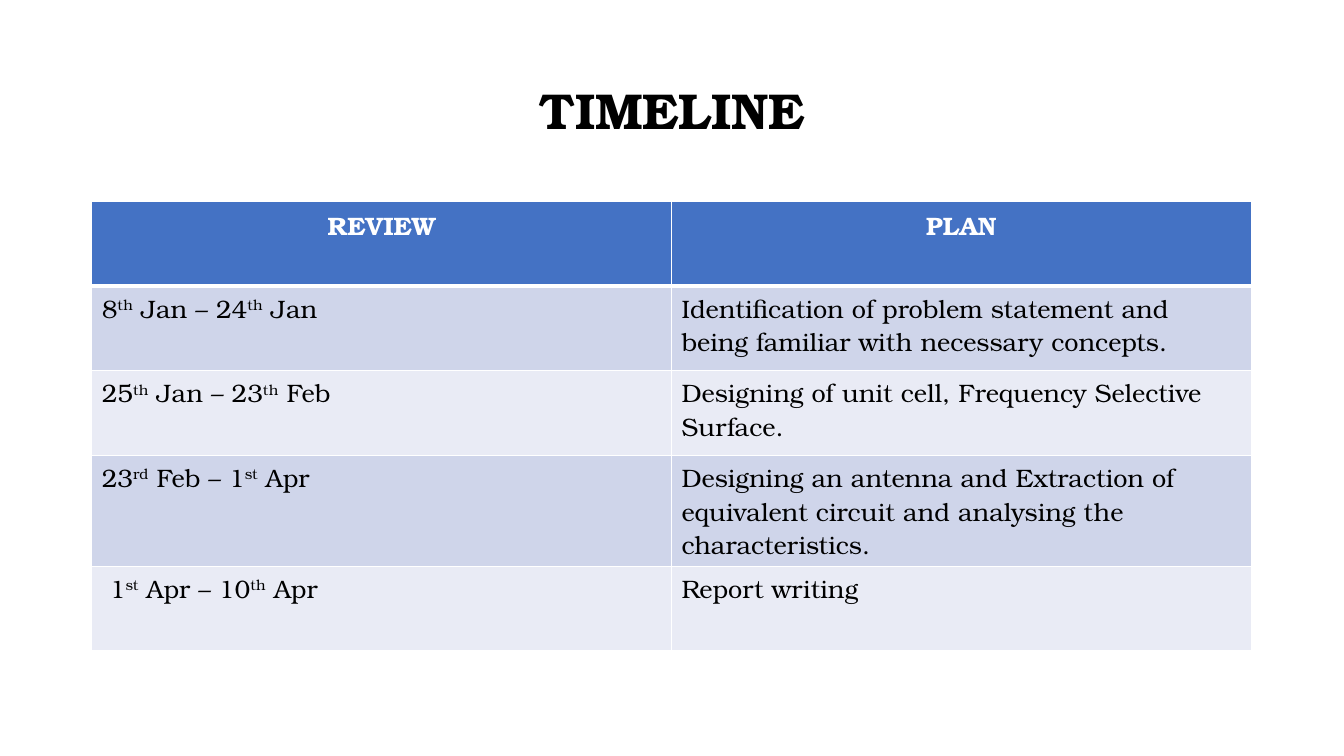
"""Build the project timeline slide with its table of review dates and plans."""
from dataclasses import dataclass

import lxml.etree
import pptx
import pptx.dml.color
import pptx.enum.text
import pptx.oxml.ns
import pptx.slide
import pptx.table
import pptx.text.text
import pptx.util

Inches = pptx.util.Inches
Align = pptx.enum.text.PP_ALIGN

FONT = "TeX Gyre Bonum"
COLORS = {
    "text": "000000",
    "header_text": "FFFFFF",
    "border": "FFFFFF",
    "header": "4472C4",
    "odd_band": "CFD5EA",
    "even_band": "E9EBF5",
}
HEADINGS = ("REVIEW", "PLAN")
ROW_HEIGHT = 0.84
COLUMN_WIDTH = 5.75


@dataclass(frozen=True)
class Phase:
    """Period whose every second part is an ordinal suffix, and its plan."""

    period: tuple[str, ...]
    plan: str
    indent: float = 0.1
    height: float = ROW_HEIGHT


PHASES = (
    Phase(("8", "th", " Jan – 24", "th", " Jan"),
          "Identification of problem statement and being familiar with necessary concepts."),
    Phase(("25", "th", " Jan – 23", "th", " Feb"),
          "Designing of unit cell, Frequency Selective Surface."),
    Phase(("23", "rd", " Feb – 1", "st", " Apr"),
          "Designing an antenna and Extraction of equivalent circuit and analysing the characteristics.",
          height=1.1),
    Phase(("1", "st", " Apr – 10", "th", " Apr"), "Report writing", indent=0.18),
)


def rgb(name: str) -> pptx.dml.color.RGBColor:
    """Return the named colour."""
    return pptx.dml.color.RGBColor.from_string(COLORS[name])


def add_runs(paragraph: pptx.text.text._Paragraph, parts: tuple[str, ...],
             size: int, color: str, bold: bool = False) -> None:
    """Add the parts as runs, raising every second one."""
    for index, part in enumerate(parts):
        run = paragraph.add_run()
        run.text = part
        run.font.name = FONT
        run.font.size = pptx.util.Pt(size)
        run.font.bold = bold
        run.font.color.rgb = rgb(color)
        if index % 2:
            run.font._element.set("baseline", "30000")


def add_borders(cell: pptx.table._Cell, bottom_width: float) -> None:
    """Draw the cell's edges, the bottom one with its own width."""
    qn = pptx.oxml.ns.qn
    properties = cell._tc.get_or_add_tcPr()
    for index, (side, width) in enumerate(
            (("L", 1), ("R", 1), ("T", 1), ("B", bottom_width))):
        edge = lxml.etree.Element(qn(f"a:ln{side}"), w=str(pptx.util.Pt(width)))
        fill = lxml.etree.SubElement(edge, qn("a:solidFill"))
        lxml.etree.SubElement(fill, qn("a:srgbClr"), val=COLORS["border"])
        properties.insert(index, edge)


def fill_cell(cell: pptx.table._Cell, parts: tuple[str, ...], fill: str,
              is_header: bool = False, top_margin: float = 0.05) -> None:
    """Colour a table cell, edge it and write its text."""
    cell.fill.solid()
    cell.fill.fore_color.rgb = rgb(fill)
    cell.margin_top = Inches(top_margin)
    add_borders(cell, 3 if is_header else 1)
    paragraph = cell.text_frame.paragraphs[0]
    paragraph.alignment = Align.CENTER if is_header else Align.LEFT
    add_runs(paragraph, parts, 18, "header_text" if is_header else "text", is_header)


def add_title(slide: pptx.slide.Slide) -> None:
    """Add the slide heading."""
    heading = slide.shapes.add_textbox(
        Inches(0.92), Inches(0.4), Inches(11.5), Inches(1.45)).text_frame
    heading.word_wrap = True
    heading.vertical_anchor = pptx.enum.text.MSO_ANCHOR.MIDDLE
    paragraph = heading.paragraphs[0]
    paragraph.alignment = Align.CENTER
    paragraph.line_spacing = 0.9
    add_runs(paragraph, ("TIMELINE",), 36, "text", bold=True)


def add_schedule(slide: pptx.slide.Slide) -> None:
    """Add the table of phases."""
    total_height = ROW_HEIGHT + sum(phase.height for phase in PHASES)
    schedule = slide.shapes.add_table(
        len(PHASES) + 1, len(HEADINGS), Inches(0.91), Inches(2),
        Inches(COLUMN_WIDTH * len(HEADINGS)), Inches(total_height)).table
    schedule.rows[0].height = Inches(ROW_HEIGHT)
    for column, heading in enumerate(HEADINGS):
        fill_cell(schedule.cell(0, column), (heading,), "header", is_header=True)
    for row, phase in enumerate(PHASES, start=1):
        schedule.rows[row].height = Inches(phase.height)
        band = "odd_band" if row % 2 else "even_band"
        period_cell = schedule.cell(row, 0)
        period_cell.margin_left = Inches(phase.indent)
        fill_cell(period_cell, phase.period, band)
        fill_cell(schedule.cell(row, 1), (phase.plan,), band)


def main() -> None:
    """Create and save the presentation."""
    presentation = pptx.Presentation()
    presentation.slide_width = Inches(13.33)
    presentation.slide_height = Inches(7.5)
    slide = presentation.slides.add_slide(presentation.slide_layouts[6])
    add_title(slide)
    add_schedule(slide)
    presentation.save("out.pptx")


if __name__ == "__main__":
    main()
